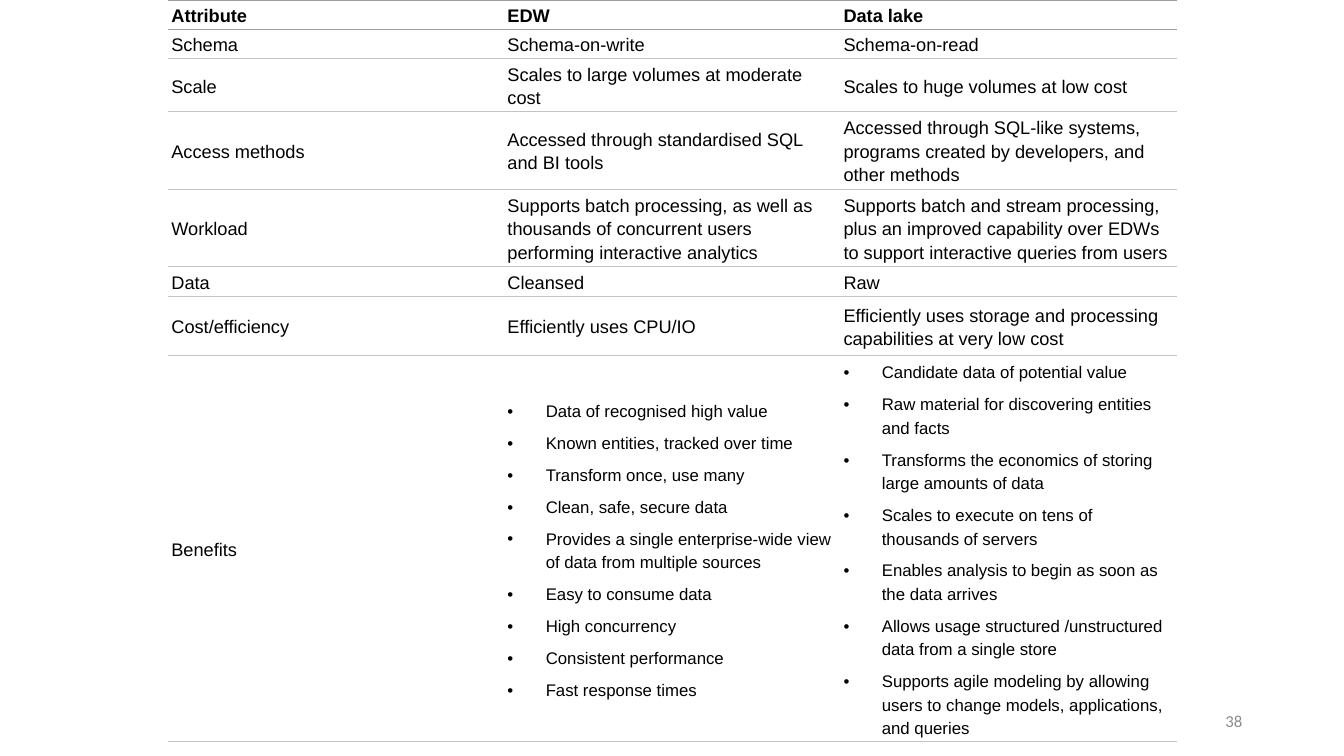
from pptx import Presentation
from pptx.dml.color import RGBColor
from pptx.enum import text
from pptx.oxml import parse_xml
from pptx.oxml.ns import nsdecls
from pptx.util import Inches, Pt

# Content: a list in a cell is shown as bullets
HEADINGS = ("Attribute", "EDW", "Data lake")
ROWS = [
    ("Schema", "Schema-on-write", "Schema-on-read"),
    ("Scale", "Scales to large volumes at moderate cost",
     "Scales to huge volumes at low cost"),
    ("Access methods", "Accessed through standardised SQL and BI tools",
     "Accessed through SQL-like systems, programs created by developers, and other methods"),
    ("Workload",
     "Supports batch processing, as well as thousands of concurrent users "
     "performing interactive analytics",
     "Supports batch and stream processing, plus an improved capability over EDWs "
     "to support interactive queries from users"),
    ("Data", "Cleansed", "Raw"),
    ("Cost/efficiency", "Efficiently uses CPU/IO",
     "Efficiently uses storage and processing capabilities at very low cost"),
    ("Benefits",
     ["Data of recognised high value",
      "Known entities, tracked over time",
      "Transform once, use many",
      "Clean, safe, secure data",
      "Provides a single enterprise-wide view of data from multiple sources",
      "Easy to consume data",
      "High concurrency",
      "Consistent performance",
      "Fast response times"],
     ["Candidate data of potential value",
      "Raw material for discovering entities and facts",
      "Transforms the economics of storing large amounts of data",
      "Scales to execute on tens of thousands of servers",
      "Enables analysis to begin as soon as the data arrives",
      "Allows usage structured /unstructured data from a single store",
      "Supports agile modeling by allowing users to change models, applications, and queries"]),
]
ROW_HEIGHTS = (0.29, 0.29, 0.42, 0.77, 0.77, 0.29, 0.59, 3.83)
PAGE_NUMBER = "38"
COLORS = {"text": "000000", "header_line": "9D9D9D", "line": "C3C3C3", "page": "8C8C8C"}
TABLE_WIDTH = 10
MARGIN = Inches(0.03)
INDENT = Inches(0.38)


def style_font(font, name, size, color, bold=False):
    font.name = name
    font.size = Pt(size)
    font.bold = bold
    font.color.rgb = RGBColor.from_string(COLORS[color])


def set_borders(cell, top, bottom):
    properties = cell._tc.get_or_add_tcPr()
    for side, color in (("L", None), ("R", None), ("T", top), ("B", bottom)):
        paint = (f'<a:solidFill><a:srgbClr val="{COLORS[color]}"/></a:solidFill>'
                 if color else "<a:noFill/>")
        properties.append(parse_xml(
            f'<a:ln{side} {nsdecls("a")} w="{Pt(1)}">{paint}</a:ln{side}>'))


def add_bullet(paragraph):
    properties = paragraph._p.get_or_add_pPr()
    properties.set("marL", str(INDENT))
    properties.set("indent", str(-INDENT))
    properties.append(parse_xml(f'<a:buFont {nsdecls("a")} typeface="Arial"/>'))
    properties.append(parse_xml(f'<a:buChar {nsdecls("a")} char="•"/>'))


def fill_cell(cell, content, header):
    bulleted = isinstance(content, list)
    cell.text_frame.text = "\n".join(content) if bulleted else content
    cell.vertical_anchor = text.MSO_ANCHOR.MIDDLE
    cell.margin_left = cell.margin_right = cell.margin_top = cell.margin_bottom = MARGIN
    for paragraph in cell.text_frame.paragraphs:
        paragraph.line_spacing = 1.25 if bulleted else 1.15
        if bulleted:
            paragraph.space_before = Pt(6)
            add_bullet(paragraph)
        for run in paragraph.runs:
            style_font(run.font, "Arial", 12 if bulleted else 13, "text", header)


presentation = Presentation()
presentation.slide_width = Inches(13.33)
presentation.slide_height = Inches(7.5)
slide = presentation.slides.add_slide(presentation.slide_layouts[6])

# Comparison table
table_rows = [HEADINGS] + ROWS
table = slide.shapes.add_table(
    len(table_rows), len(HEADINGS), Inches(1.67), 0,
    Inches(TABLE_WIDTH), Inches(sum(ROW_HEIGHTS))).table
table.first_row = table.horz_banding = False
for column in table.columns:
    column.width = Inches(TABLE_WIDTH / len(HEADINGS))
for index, (height, contents) in enumerate(zip(ROW_HEIGHTS, table_rows)):
    table.rows[index].height = Inches(height)
    top = "header_line" if index < 2 else "line"
    bottom = "header_line" if index == 0 else "line"
    for cell, content in zip(table.rows[index].cells, contents):
        fill_cell(cell, content, header=index == 0)
        set_borders(cell, top, bottom)
        cell.fill.background()

# Page number
page_box = slide.shapes.add_textbox(Inches(9.42), Inches(6.95), Inches(3), Inches(0.4))
page_frame = page_box.text_frame
page_frame.word_wrap = True
page_frame.vertical_anchor = text.MSO_ANCHOR.MIDDLE
page_frame.text = PAGE_NUMBER
page_paragraph = page_frame.paragraphs[0]
page_paragraph.alignment = text.PP_ALIGN.RIGHT
style_font(page_paragraph.runs[0].font, "Calibri", 12, "page")

presentation.save("out.pptx")
